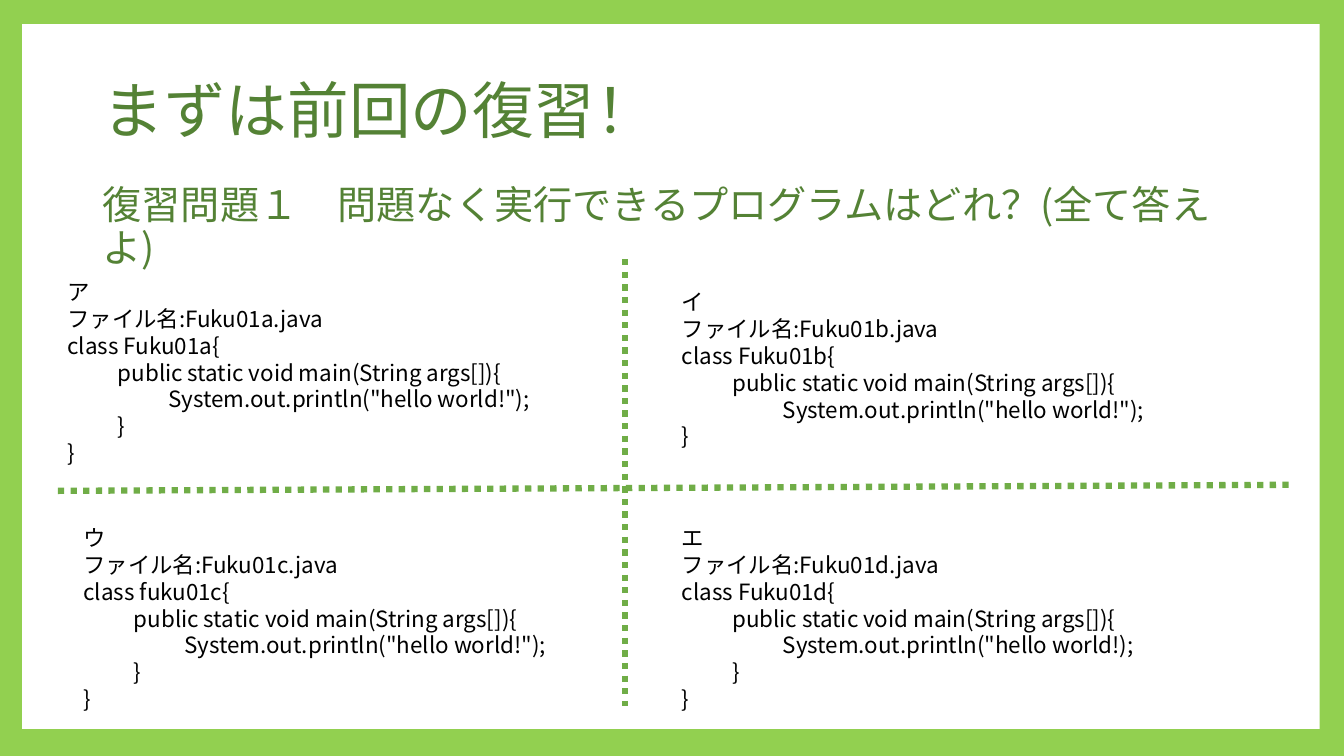
"""Build the review quiz slide with four Java programs to compare."""
import pptx
import pptx.dml.color
import pptx.enum.dml
import pptx.enum.shapes
import pptx.enum.text
import pptx.oxml.ns
import pptx.util
from lxml import etree

THEME = {
    "font": "Noto Sans CJK JP",
    "border": pptx.dml.color.RGBColor.from_string("92D050"),
    "panel": pptx.dml.color.RGBColor.from_string("FFFFFF"),
    "heading": pptx.dml.color.RGBColor.from_string("548235"),
    "code": pptx.dml.color.RGBColor.from_string("000000"),
    "divider": pptx.dml.color.RGBColor.from_string("70AD47"),
    "title_size": 44,
    "question_size": 28,
    "code_size": 16,
    "divider_width": 4.5,
}

deck = pptx.Presentation()
deck.slide_width = pptx.util.Inches(13.33)
deck.slide_height = pptx.util.Inches(7.5)
slide = deck.slides.add_slide(deck.slide_layouts[6])


def percent(*lengths):
    """Turn alternating horizontal and vertical percentages into lengths."""
    sides = (deck.slide_width, deck.slide_height) * 2
    return [round(side * length / 100) for side, length in zip(sides, lengths)]


def write(text, *, area, size, color, spacing, anchor="TOP", top=0.05, tab_stops=()):
    """Write each line of the text as a paragraph in a wrapping box."""
    frame = slide.shapes.add_textbox(*percent(*area)).text_frame
    frame.word_wrap = True
    frame.margin_top = pptx.util.Inches(top)
    frame.vertical_anchor = pptx.enum.text.MSO_ANCHOR[anchor]
    for number, line in enumerate(text.split("\n")):
        paragraph = frame.add_paragraph() if number else frame.paragraphs[0]
        paragraph.line_spacing = spacing
        run = paragraph.add_run()
        run.text = line
        run.font.size = pptx.util.Pt(size)
        run.font.name = THEME["font"]
        run.font.color.rgb = color
        east_asian = etree.SubElement(run.font._element, pptx.oxml.ns.qn("a:ea"))
        east_asian.set("typeface", THEME["font"])
        if tab_stops:
            properties = paragraph._p.get_or_add_pPr()
            stops = etree.SubElement(properties, pptx.oxml.ns.qn("a:tabLst"))
            for stop in tab_stops:
                tab = etree.SubElement(stops, pptx.oxml.ns.qn("a:tab"))
                tab.set("pos", str(pptx.util.Inches(stop)))
                tab.set("algn", "l")


slide.background.fill.solid()
slide.background.fill.fore_color.rgb = THEME["border"]
panel = slide.shapes.add_shape(
    pptx.enum.shapes.MSO_SHAPE.RECTANGLE, *percent(1.65, 3.2, 96.55, 93.2)
)
panel.shadow.inherit = False
panel.fill.solid()
panel.fill.fore_color.rgb = THEME["panel"]
panel.line.fill.background()

write("まずは前回の復習！", area=(6.9, 5.33, 86.25, 19.33), size=THEME["title_size"],
      color=THEME["heading"], spacing=0.9, anchor="MIDDLE")
write("復習問題１　問題なく実行できるプログラムはどれ？(全て答えよ)",
      area=(6.9, 23.33, 86.25, 7.6), size=THEME["question_size"],
      color=THEME["heading"], spacing=pptx.util.Pt(30.2), top=0.09)

HELLO = 'System.out.println("hello world!");'
UNCLOSED_HELLO = 'System.out.println("hello world!);'
choices = [
    ("ア", "Fuku01a", "Fuku01a", HELLO, "\t}\n}", 4.28, 36.13),
    ("イ", "Fuku01b", "Fuku01b", HELLO, "}", 50, 37.47),
    ("エ", "Fuku01d", "Fuku01d", UNCLOSED_HELLO, "\t}\n}", 50, 68.67),
    ("ウ", "Fuku01c", "fuku01c", HELLO, "\t}\n}", 5.48, 68.67),
]
for label, file_name, class_name, statement, closing, left, top in choices:
    program = (
        f"{label}\nファイル名:{file_name}.java\nclass {class_name}{{\n"
        f"\tpublic static void main(String args[]){{\n\t\t{statement}\n{closing}"
    )
    height = 2.93 + 4 * program.count("\n")
    write(program, area=(left, top, 40.95, height), size=THEME["code_size"],
          color=THEME["code"], spacing=pptx.util.Pt(19.2), tab_stops=(0.5, 1))

for ends in [(46.5, 34.27, 46.5, 93.33), (95.88, 64.13, 4.13, 64.93)]:
    divider = slide.shapes.add_connector(
        pptx.enum.shapes.MSO_CONNECTOR.STRAIGHT, *percent(*ends)
    )
    divider.line.color.rgb = THEME["divider"]
    divider.line.width = pptx.util.Pt(THEME["divider_width"])
    divider.line.dash_style = pptx.enum.dml.MSO_LINE.ROUND_DOT
    etree.SubElement(divider._element.spPr, pptx.oxml.ns.qn("a:effectLst"))

deck.save("out.pptx")
